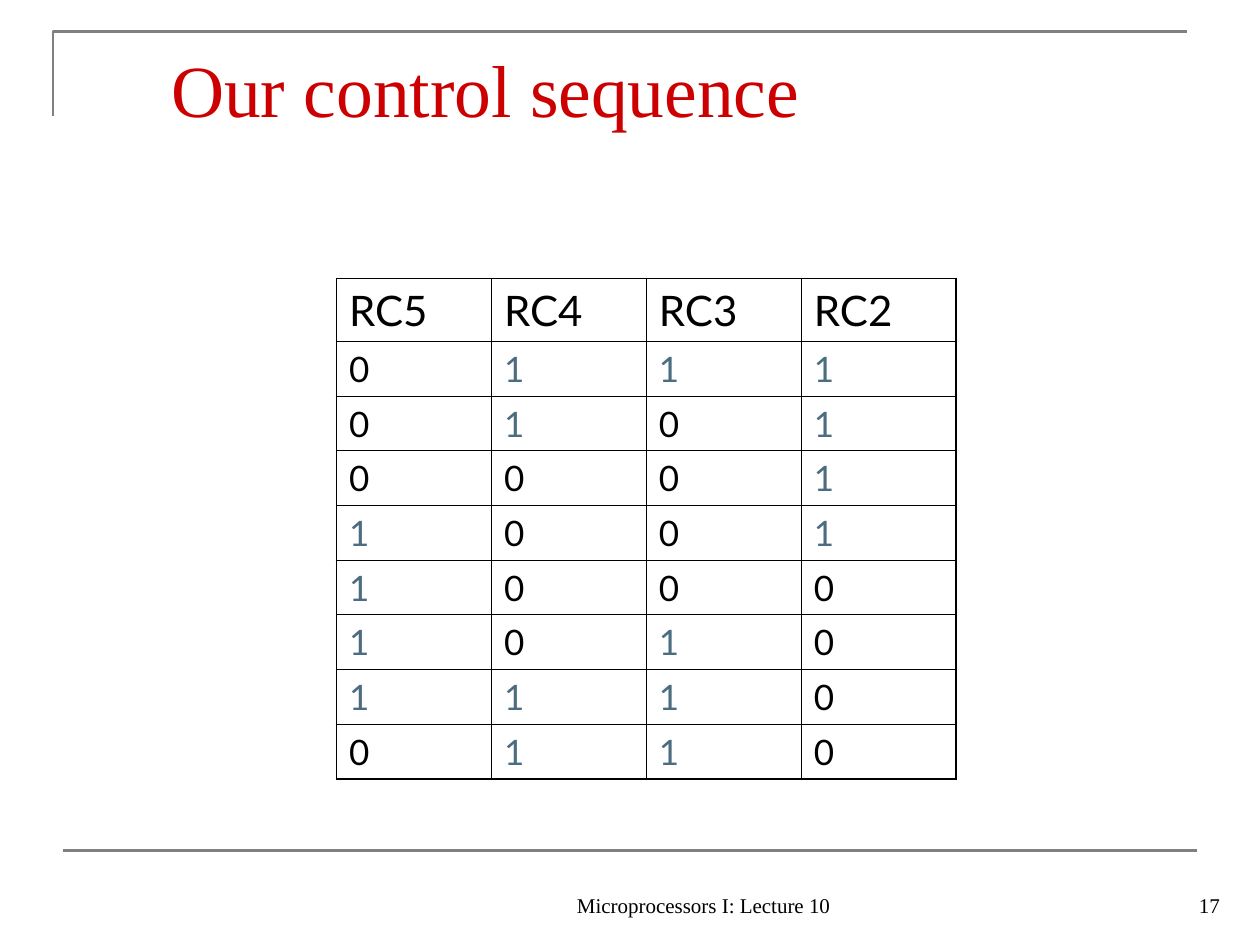
from lxml.etree import SubElement
from pptx import Presentation
from pptx.dml.color import RGBColor
from pptx.enum.shapes import MSO_CONNECTOR
from pptx.enum.text import MSO_ANCHOR, PP_ALIGN
from pptx.oxml.ns import qn
from pptx.util import Inches, Pt

BLACK = RGBColor(0x00, 0x00, 0x00)
GRAY = RGBColor(0x80, 0x80, 0x80)
RED = RGBColor(0xCC, 0x00, 0x00)
BLUE = RGBColor(0x4C, 0x6D, 0x80)
SERIF = "Times New Roman"
SANS = "Lato"

PINS = ["RC5", "RC4", "RC3", "RC2"]
STEPS = ["0111", "0101", "0001", "1001", "1000", "1010", "1110", "0110"]


def write(frame, text, size=12, font=SERIF, color=BLACK, align=PP_ALIGN.LEFT):
    para = frame.paragraphs[0]
    para.alignment = align
    run = para.add_run()
    run.text = text
    run.font.size = Pt(size)
    run.font.name = font
    run.font.color.rgb = color


def add_text(slide, box, text, anchor=MSO_ANCHOR.TOP, inset=0.05, **style):
    frame = slide.shapes.add_textbox(*map(Inches, box)).text_frame
    frame.word_wrap = True
    frame.vertical_anchor = anchor
    frame.margin_top = Inches(inset)
    write(frame, text, **style)


def add_corner(slide, left, top, width, height):
    """Draw the open line down the left and along the top of the title."""
    pen = slide.shapes.build_freeform(Inches(left), Inches(top + height))
    pen.add_line_segments(
        [(Inches(left), Inches(top)), (Inches(left + width), Inches(top))],
        close=False)
    shape = pen.convert_to_shape()
    shape.shadow.inherit = False
    shape.fill.background()
    shape.line.color.rgb = GRAY
    shape.line.width = Pt(1.5)


def add_rule(slide, left, top, width):
    rule = slide.shapes.add_connector(
        MSO_CONNECTOR.STRAIGHT, Inches(left), Inches(top),
        Inches(left + width), Inches(top))
    rule.line.color.rgb = GRAY
    rule.line.width = Pt(1.5)
    SubElement(rule._element.spPr, qn("a:effectLst"))


def add_border(cell, outer):
    """Draw the four cell edges, thicker where outer holds the side."""
    props = cell._tc.get_or_add_tcPr()
    for side in "LRTB":
        width = Pt(1.08 if side in outer else 0.45)
        edge = SubElement(props, qn(f"a:ln{side}"), w=str(width))
        fill = SubElement(edge, qn("a:solidFill"))
        SubElement(fill, qn("a:srgbClr"), val=str(BLACK))


def add_steps(slide, left, top, width, height, head=0.5):
    rows = [PINS, *STEPS]
    last, end = len(rows) - 1, len(PINS) - 1
    table = slide.shapes.add_table(
        len(rows), len(PINS), Inches(left), Inches(top),
        Inches(width), Inches(height)).table
    table.first_row = table.horz_banding = False
    for col in table.columns:
        col.width = Inches(width / len(PINS))
    for r, row in enumerate(rows):
        table.rows[r].height = Inches((height - head) / last if r else head)
        for c, text in enumerate(row):
            cell = table.cell(r, c)
            sides = {"L": c == 0, "R": c == end, "T": r == 0, "B": r == last}
            add_border(cell, [side for side, on in sides.items() if on])
            cell.fill.background()
            write(cell.text_frame, text, size=20 if r else 24, font=SANS,
                  color=BLUE if text == "1" else BLACK)


def add_footer(slide, top, height):
    add_text(slide, (4, top, 3.17, height), "Microprocessors I: Lecture 10",
             anchor=MSO_ANCHOR.BOTTOM, align=PP_ALIGN.CENTER)
    add_text(slide, (7.7, top, 2.08, height), "17",
             anchor=MSO_ANCHOR.BOTTOM, align=PP_ALIGN.RIGHT)


def main():
    deck = Presentation()
    deck.slide_width, deck.slide_height = Inches(10), Inches(7.5)
    slide = deck.slides.add_slide(deck.slide_layouts[6])
    add_corner(slide, 0.42, 0.25, 9, 0.67)
    add_rule(slide, 0.5, 6.75, 9)
    add_footer(slide, 6.83, 0.5)
    add_text(slide, (1.26, 0.23, 8.52, 1.6), "Our control sequence",
             inset=0.12, size=42, color=RED)
    add_steps(slide, 2.67, 2.21, 4.92, 3.97)
    deck.save("out.pptx")


if __name__ == "__main__":
    main()
